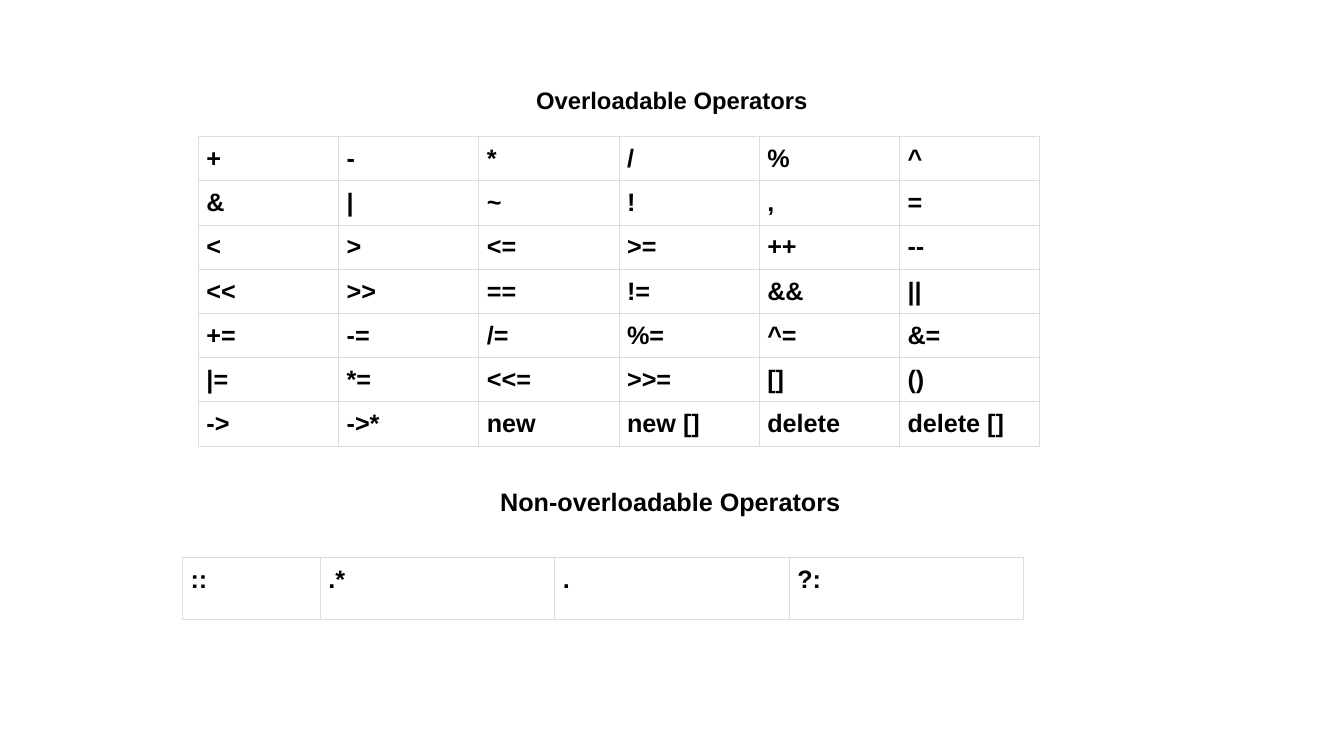
from dataclasses import dataclass

from lxml import etree
from pptx import Presentation
from pptx.dml.color import RGBColor
from pptx.enum import text as tx
from pptx.oxml import ns
from pptx.util import Pt

FONT = "Arial"
INK = "000000"
EDGE = "DDDDDD"
PAD = 5.72


@dataclass
class Grid:
    left: float
    top: float
    cols: list[float]
    height: float
    rows: list[list[str]]


@dataclass
class Head:
    text: str
    size: float
    left: float
    top: float
    width: float
    height: float
    pad_left: float
    pad_top: float


GRIDS = [
    Grid(141.8, 97.6, [100.15] * 6, 29.5, [
        ["+", "-", "*", "/", "%", "^"],
        ["&", "|", "~", "!", ",", "="],
        ["<", ">", "<=", ">=", "++", "--"],
        ["<<", ">>", "==", "!=", "&&", "||"],
        ["+=", "-=", "/=", "%=", "^=", "&="],
        ["|=", "*=", "<<=", ">>=", "[]", "()"],
        ["->", "->*", "new", "new []", "delete", "delete []"],
    ]),
    Grid(130.4, 398.2, [98.5] + [167.5] * 3, 44.2, [["::", ".*", ".", "?:"]]),
]
TITLE = Head("Overloadable Operators", 17, 66, 56.2, 828, 49.7, 7.2, 5.2)
SECOND = Head("Non-overloadable Operators", 18, 74.2, 255.6, 645.8, 159.8, 170.5, 91.5)


def color(code: str) -> RGBColor:
    return RGBColor.from_string(code)


def add_run(para, words: str, size: float) -> None:
    run = para.add_run()
    run.text = words
    font = run.font
    font.name, font.size, font.bold = FONT, Pt(size), True
    font.color.rgb = color(INK)


def add_edges(cell) -> None:
    props = cell._tc.get_or_add_tcPr()
    for i, side in enumerate(("lnL", "lnR", "lnT", "lnB")):
        line = etree.Element(ns.qn(f"a:{side}"), w=str(Pt(0.75)))
        fill = etree.SubElement(line, ns.qn("a:solidFill"))
        etree.SubElement(fill, ns.qn("a:srgbClr"), val=EDGE)
        props.insert(i, line)


def draw_grid(slide, grid: Grid) -> None:
    count = len(grid.rows)
    table = slide.shapes.add_table(
        count, len(grid.cols), Pt(grid.left), Pt(grid.top),
        Pt(sum(grid.cols)), Pt(grid.height * count)).table
    table.first_row = table.horz_banding = False
    for col, width in zip(table.columns, grid.cols):
        col.width = Pt(width)
    for row, words in zip(table.rows, grid.rows):
        row.height = Pt(grid.height)
        for cell, word in zip(row.cells, words):
            cell.fill.background()
            cell.margin_left = cell.margin_right = Pt(PAD)
            cell.margin_top = cell.margin_bottom = Pt(PAD)
            add_edges(cell)
            add_run(cell.text_frame.paragraphs[0], word, 18)


def draw_head(shape, head: Head) -> None:
    shape.left, shape.top = Pt(head.left), Pt(head.top)
    shape.width, shape.height = Pt(head.width), Pt(head.height)
    frame = shape.text_frame
    frame.word_wrap = True
    frame.auto_size = tx.MSO_AUTO_SIZE.NONE
    frame.vertical_anchor = tx.MSO_ANCHOR.TOP
    frame.margin_left, frame.margin_top = Pt(head.pad_left), Pt(head.pad_top)
    frame.margin_right, frame.margin_bottom = Pt(7.2), Pt(3.6)
    para = frame.paragraphs[0]
    para.alignment = tx.PP_ALIGN.CENTER
    add_run(para, head.text, head.size)


def main() -> None:
    deck = Presentation()
    deck.slide_width, deck.slide_height = Pt(960), Pt(540)
    slide = deck.slides.add_slide(deck.slide_layouts[5])

    # Operator tables
    for grid in GRIDS:
        draw_grid(slide, grid)

    # Headings
    draw_head(slide.shapes.title, TITLE)
    draw_head(slide.shapes.add_textbox(0, 0, 0, 0), SECOND)

    deck.save("out.pptx")


if __name__ == "__main__":
    main()
